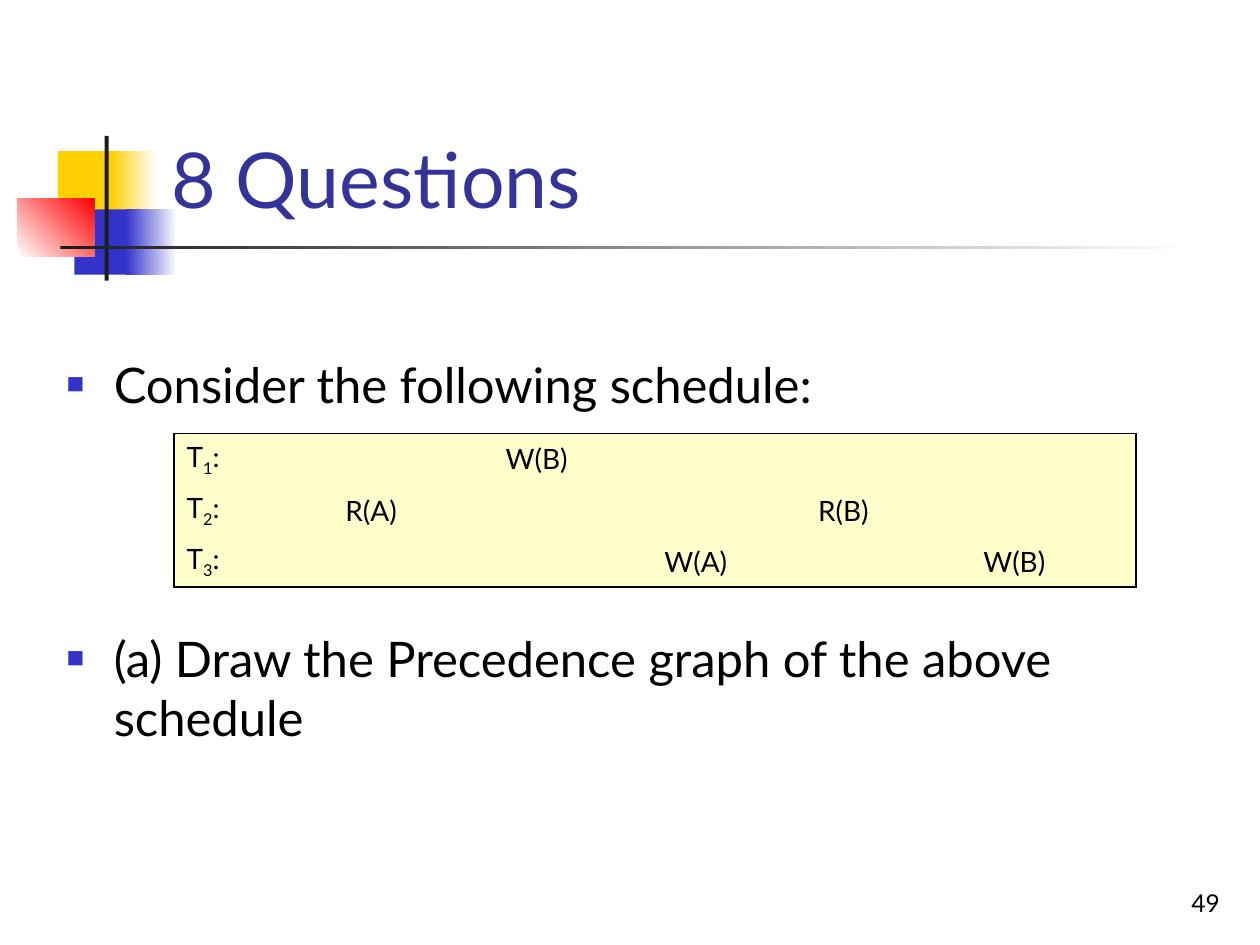
"""Build the question slide on the precedence graph of a schedule."""
from lxml import etree
from pptx import Presentation
from pptx import util as u
from pptx.dml import color
from pptx.enum import shapes, text
from pptx.oxml import ns

BLACK, YELLOW, BLUE, RED, WHITE = "000000", "FFCF01", "3333CC", "FF0000", "FFFFFF"
DARK, CREAM, TITLE = "1C1C1C", "FFFFCC", "333399"
PLAIN_TABLE = "{2D5ABB26-0587-4C30-8999-92F81FD0307C}"


def rgb(value):
    return color.RGBColor.from_string(value)


def add_text(p, content, size=16, fill=BLACK, font="Lato", base=0):
    r = p.add_run()
    r.text = content
    r.font.size, r.font.name = u.Pt(size), font
    r.font.color.rgb = rgb(fill)
    if base:
        r.font._element.set("baseline", str(base * 1000))


def add_xml(parent, tag, **attrs):
    return etree.SubElement(parent, ns.qn(tag), attrs)


class Deck:
    def __init__(self):
        self.prs = Presentation()
        self.prs.slide_width, self.prs.slide_height = u.Cm(25.4), u.Cm(19.05)
        self.s = self.prs.slides.add_slide(self.prs.slide_layouts[1])

    def rect(self, box, start, end=None, angle=0):
        sp = self.s.shapes.add_shape(shapes.MSO_SHAPE.RECTANGLE, *map(u.Cm, box))
        sp.shadow.inherit = False
        sp.line.fill.background()
        if end:
            sp.fill.gradient()
            sp.fill.gradient_angle = angle
            for stop, value in zip(sp.fill.gradient_stops, (start, end)):
                stop.color.rgb = rgb(value)
        else:
            sp.fill.solid()
            sp.fill.fore_color.rgb = rgb(start)

    def placeholder(self, index, box, anchor):
        sp = self.s.placeholders[index]
        sp.left, sp.top, sp.width, sp.height = map(u.Cm, box)
        self.s.shapes._spTree.append(sp._element)
        tf = sp.text_frame
        tf.auto_size, tf.vertical_anchor = text.MSO_AUTO_SIZE.NONE, anchor
        return tf

    def title(self, content, box):
        p = self.placeholder(0, box, text.MSO_ANCHOR.BOTTOM).paragraphs[0]
        p.alignment = text.PP_ALIGN.LEFT
        add_text(p, content, size=44, fill=TITLE)

    def bullets(self, items, box, inset):
        tf = self.placeholder(1, box, text.MSO_ANCHOR.TOP)
        tf.margin_top = u.Cm(inset)
        for i, (content, space) in enumerate(items):
            p = tf.add_paragraph() if i else tf.paragraphs[0]
            p.space_before = u.Pt(space)
            pPr = p._p.get_or_add_pPr()
            pPr.set("marL", str(u.Cm(0.95)))
            pPr.set("indent", str(u.Cm(-0.95)))
            add_xml(add_xml(pPr, "a:buClr"), "a:srgbClr", val=BLUE)
            add_xml(pPr, "a:buSzPct", val="60000")
            add_xml(pPr, "a:buChar", char="■")
            add_text(p, content, size=28)

    def label(self, content, box, size):
        tf = self.s.shapes.add_textbox(*map(u.Cm, box)).text_frame
        tf.word_wrap, tf.vertical_anchor = True, text.MSO_ANCHOR.BOTTOM
        p = tf.paragraphs[0]
        p.alignment = text.PP_ALIGN.RIGHT
        add_text(p, content, size=size)

    def schedule(self, operations, left, top, widths, height):
        rows, cols = len(operations), len(widths)
        frame = self.s.shapes.add_table(rows, cols, u.Cm(left), u.Cm(top),
                                        u.Cm(sum(widths)), u.Cm(height * rows))
        table = frame.table
        table.first_row = table.horz_banding = False
        table._tbl.tblPr.find(ns.qn("a:tableStyleId")).text = PLAIN_TABLE
        for col, width in zip(table.columns, widths):
            col.width = u.Cm(width)
        for i, row in enumerate(table.rows):
            row.height = u.Cm(height)
            for j, cell in enumerate(row.cells):
                cell.vertical_anchor = text.MSO_ANCHOR.MIDDLE
                edges = {"L": j == 0, "R": j == cols - 1, "T": i == 0, "B": i == rows - 1}
                self.border(cell, [side for side, outer in edges.items() if outer])
                cell.fill.solid()
                cell.fill.fore_color.rgb = rgb(CREAM)
                p = cell.text_frame.paragraphs[0]
                if j == 0:
                    add_text(p, "T")
                    add_text(p, str(i + 1), base=-25)
                    add_text(p, ":")
                elif j in operations[i]:
                    add_text(p, operations[i][j])

    def border(self, cell, sides):
        tcPr = cell._tc.get_or_add_tcPr()
        for side in sides:
            ln = add_xml(tcPr, f"a:ln{side}", w=str(u.Pt(1)))
            add_xml(add_xml(ln, "a:solidFill"), "a:srgbClr", val=BLACK)


def main():
    d = Deck()
    d.rect((1.17, 3.05, 1.22, 1.32), YELLOW)
    d.rect((2.24, 3.05, 0.91, 1.32), YELLOW, WHITE)
    d.rect((1.5, 4.22, 1.17, 1.32), BLUE)
    d.rect((2.54, 4.22, 1.02, 1.32), BLUE, WHITE)
    d.rect((0.36, 4.01, 1.55, 1.17), WHITE, RED, angle=45)
    d.rect((2.11, 2.74, 0.08, 2.92), DARK)
    d.rect((1.22, 4.95, 22.86, 0.08), DARK, WHITE)
    d.label("49", (19.56, 17.35, 5.28, 1.27), size=14)
    d.title("8 Questions", (3.2, 0.58, 21.64, 4.06))
    d.bullets([("Consider the following schedule:", 0),
               ("(a) Draw the Precedence graph of the above schedule", 123)],
              (1.09, 5.61, 22.81, 10.52), inset=1.53)
    d.schedule([{2: "W(B)"}, {1: "R(A)", 4: "R(B)"}, {3: "W(A)", 5: "W(B)"}],
               3.51, 8.74, (3.2, 3.23, 3.2, 3.1, 3.33, 3.33), 0.97)
    d.prs.save("out.pptx")


if __name__ == "__main__":
    main()
